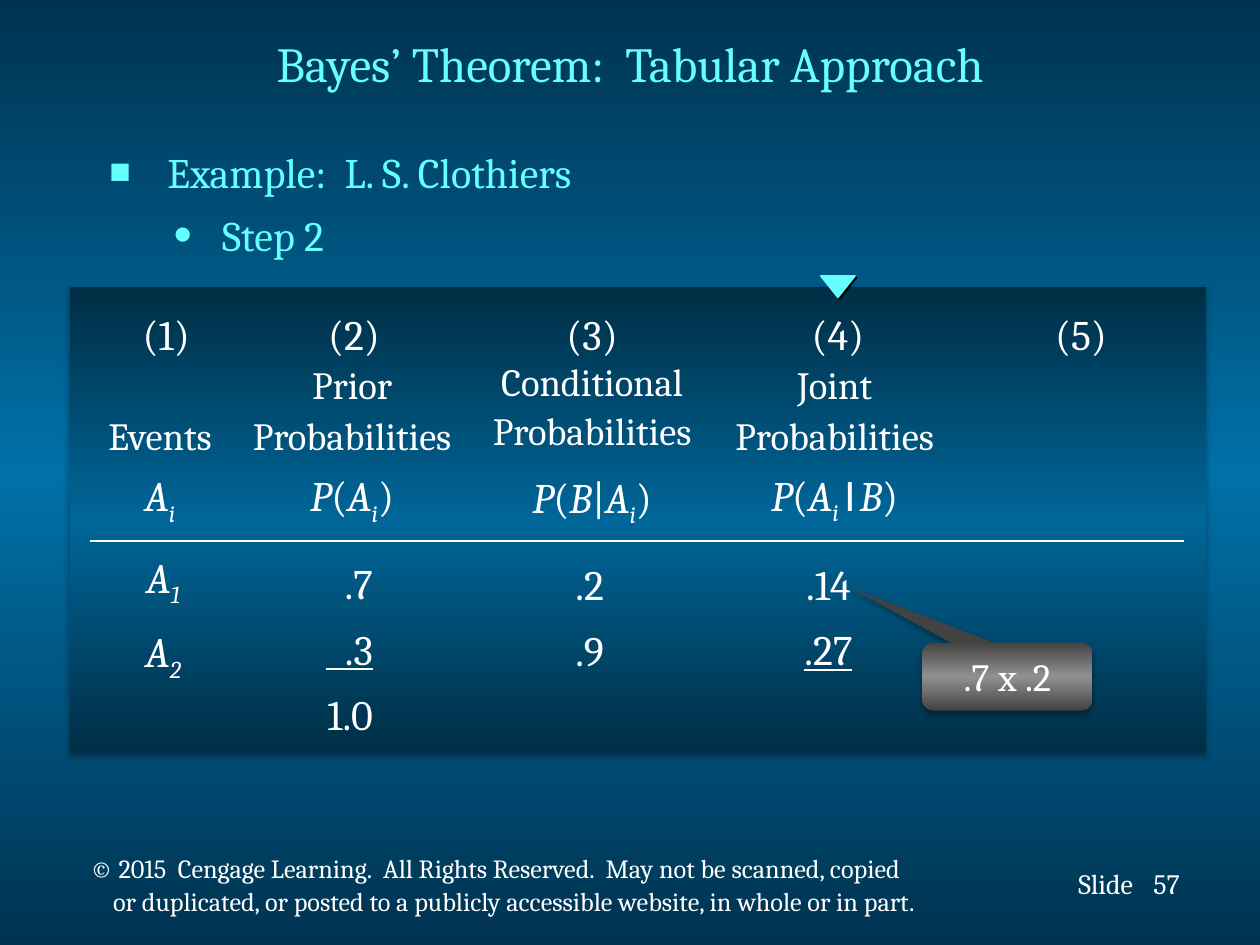
from copy import deepcopy
from dataclasses import dataclass, field

from lxml import etree
from pptx import Presentation
from pptx.dml.color import RGBColor
from pptx.enum import shapes, text
from pptx.oxml.ns import qn
from pptx.util import Inches, Pt

COLS, ROWS = 100, 75
CELL = Inches(0.1)
WHITE, AQUA = "FFFFFF", "66FFFF"
MID, LEFT, RIGHT = text.PP_ALIGN.CENTER, text.PP_ALIGN.LEFT, text.PP_ALIGN.RIGHT
BIG, HEAD, NOTE = 24, 22, 15


@dataclass
class Run:
    words: str
    size: float = BIG
    italic: bool = False
    low: bool = False
    under: bool = False
    face: str = "Cambria"


@dataclass
class Para:
    runs: list
    pitch: object = 1.0
    before: float = 0
    margin: float = 0
    hang: float = 0
    bullet: str = ""
    grow: int = 100


@dataclass
class Box:
    col: float
    row: float
    wide: float
    high: float
    paras: list
    align: object = MID
    hue: str = WHITE
    form: dict = field(default_factory=dict)


def paint(code: str) -> RGBColor:
    return RGBColor.from_string(code)


def cells(*counts: float) -> list:
    return [round(count * CELL) for count in counts]


def apply(target, form: dict) -> None:
    for key, value in form.items():
        setattr(target, key, value)


def shade(fill, root, edge: str, core: str) -> None:
    fill.gradient()
    fill.gradient_angle = 90
    first = next(root.iter(qn("a:gs")))
    first.addnext(deepcopy(first))
    for stop, (place, code) in zip(fill.gradient_stops, ((0, edge), (0.5, core), (1, edge))):
        stop.position = place
        stop.color.rgb = paint(code)


def cast(shape, alpha: int, blur: float, dist: float, angle: int) -> None:
    shape.shadow.inherit = False
    effect = shape._element.spPr.find(qn("a:effectLst"))
    outer = etree.SubElement(effect, qn("a:outerShdw"), blurRad=str(Pt(blur)),
                             dist=str(Pt(dist)), dir=str(angle * 60000), rotWithShape="0")
    black = etree.SubElement(outer, qn("a:srgbClr"), val="000000")
    etree.SubElement(black, qn("a:alpha"), val=str(alpha * 1000))


def mark(props, para: Para, hue: str) -> None:
    props.set("marL", str(cells(para.margin)[0]))
    props.set("indent", str(-cells(para.hang)[0]))
    if para.bullet:
        tint = etree.SubElement(props, qn("a:buClr"))
        etree.SubElement(tint, qn("a:srgbClr"), val=hue)
        etree.SubElement(props, qn("a:buSzPct"), val=str(para.grow * 1000))
        etree.SubElement(props, qn("a:buFont"), typeface="Arial")
        etree.SubElement(props, qn("a:buChar"), char=para.bullet)


def write(frame, box: Box) -> None:
    apply(frame, {"word_wrap": False, "vertical_anchor": text.MSO_ANCHOR.MIDDLE,
                  "margin_left": 0, "margin_right": 0, **box.form})
    for index, para in enumerate(box.paras):
        line = frame.paragraphs[0] if index == 0 else frame.add_paragraph()
        apply(line, {"alignment": box.align, "line_spacing": para.pitch,
                     "space_before": Pt(para.before)})
        mark(line._p.get_or_add_pPr(), para, box.hue)
        for run in para.runs:
            piece = line.add_run()
            piece.text = run.words
            apply(piece.font, {"size": Pt(run.size), "name": run.face,
                               "italic": run.italic, "underline": run.under})
            piece.font.color.rgb = paint(box.hue)
            if run.low:
                piece.font._element.set("baseline", "-25000")


def place(slide, box: Box) -> None:
    shape = slide.shapes.add_textbox(*cells(box.col, box.row, box.wide, box.high))
    write(shape.text_frame, box)


def plain(words: str, size: float = BIG, pitch: object = 1.0, **more) -> Para:
    return Para([Run(words, size)], pitch, **more)


def event(sub: str) -> list:
    return [Run("A", italic=True), Run(sub, italic=True, low=True)]


def chance(*inner: Run) -> list:
    return [Run("P", italic=True), Run("("), *inner, Run(")")]


def boxes() -> list:
    top = {"vertical_anchor": text.MSO_ANCHOR.TOP, "margin_left": CELL}
    given = Run("B", italic=True)
    joint = chance(*event("i "), Run("I", face="Arial"), Run(" ", 10), given)
    tags = [Box(col, 24.2, 4.6, 4.6, [plain(f"({count})")])
            for count, col in enumerate((10.9, 25.8, 44.7, 64.2, 83.5), 1)]
    return tags + [
        Box(7.5, 0.55, 85, 8.9, [plain("Bayes’ Theorem:  Tabular Approach", 28)], hue=AQUA),
        Box(7.7, 11.1, 64, 5.3, [plain("Example:  L. S. Clothiers", margin=4.6, hang=4.6,
                                       bullet="■", grow=85)], LEFT, AQUA, top),
        Box(7.8, 16.1, 53.5, 5.8, [plain("Step 2", margin=8.85, hang=3.85, bullet="•",
                                         grow=125)], LEFT, AQUA, top),
        Box(7.4, 31.9, 10.6, 10, [plain("Events", HEAD, 1.2), Para(event("i"), 1.2)]),
        Box(18.8, 28.3, 18.3, 13.5, [plain("Prior", HEAD, 1.1), plain("Probabilities", HEAD, 1.1),
                                     Para(chance(*event("i")), 1.2)]),
        Box(37.2, 28.4, 19.6, 14, [plain("Conditional", HEAD, 0.9),
                                   plain("Probabilities", HEAD, 0.9, before=4.4),
                                   Para(chance(given, Run("|"), *event("i")), 1.3)]),
        Box(56.45, 27.75, 19.6, 14.6, [plain("Joint", HEAD, 1.1),
                                       plain("Probabilities", HEAD, 1.1), Para(joint, 1.2)]),
        Box(9.2, 41.95, 7.5, 12.7, [Para(event(sub), 1.3) for sub in "12"]),
        Box(23.1, 43.75, 6.5, 14.2, [plain(".7", pitch=1.3), Para([Run("  .3", under=True)], 1.3),
                                     plain("1.0", pitch=1.3)], RIGHT),
        Box(44.3, 41.45, 5, 13.8, [plain(words, pitch=1.3) for words in (".2", ".9")]),
        Box(62.5, 40.9, 6.5, 14.8, [plain(".14", pitch=1.3),
                                    Para([Run(".27", under=True)], 1.3)]),
        Box(6.2, 67.4, 74.7, 6, [
            plain("© 2015  Cengage Learning.  All Rights Reserved.  May not be scanned, copied",
                  NOTE, Pt(16)),
            plain("or duplicated, or posted to a publicly accessible website, "
                  "in whole or in part.", NOTE, Pt(16), before=3, margin=1.8)], LEFT, form=top),
        Box(84.6, 68.25, 6, 3.7, [plain("Slide", 16)], LEFT, form=top),
        Box(90.55, 68.3, 4.5, 3.7, [plain("57", 16)], LEFT, form=top),
    ]


def panel(slide) -> None:
    shape = slide.shapes.add_shape(shapes.MSO_SHAPE.RECTANGLE, *cells(5.55, 22.8, 90.2, 37))
    shade(shape.fill, shape._element.spPr, "002E45", "006699")
    shape.line.fill.background()
    cast(shape, 32, 3.5, 2.2, 90)


def rule(slide) -> None:
    line = slide.shapes.add_connector(shapes.MSO_CONNECTOR.STRAIGHT,
                                      *cells(7.15, 42.94, 94, 42.94))
    line.line.color.rgb = paint(WHITE)
    line.line.width = Pt(1)
    etree.SubElement(line._element.spPr, qn("a:effectLst"))


def callout(slide) -> None:
    box = Box(73.2, 51, 13.5, 5.4, [plain(".7 x .2", HEAD)])
    shape = slide.shapes.add_shape(shapes.MSO_SHAPE.ROUNDED_RECTANGULAR_CALLOUT,
                                   *cells(box.col, box.row, box.wide, box.high))
    for index, value in enumerate((-0.92, -1.3, 0.17)):
        shape.adjustments[index] = value
    shade(shape.fill, shape._element.spPr, "424242", "919191")
    shape.line.fill.background()
    cast(shape, 32, 3.5, 2.2, 90)
    write(shape.text_frame, box)


def pointer(slide) -> None:
    shape = slide.shapes.add_shape(shapes.MSO_SHAPE.ISOSCELES_TRIANGLE,
                                   *cells(65.15, 21.9, 2.7, 1.7))
    shape.rotation = 180
    shape.fill.solid()
    shape.fill.fore_color.rgb = paint(AQUA)
    shape.line.color.rgb = paint(AQUA)
    shape.line.width = Pt(1)
    cast(shape, 100, 0, 1.4, 45)


def main() -> None:
    deck = Presentation()
    apply(deck, {"slide_width": COLS * CELL, "slide_height": ROWS * CELL})
    slide = deck.slides.add_slide(deck.slide_layouts[6])
    shade(slide.background.fill, slide._element, "003350", "0070A8")
    panel(slide)
    rule(slide)
    for box in boxes():
        place(slide, box)
    callout(slide)
    pointer(slide)
    deck.save("out.pptx")


if __name__ == "__main__":
    main()
